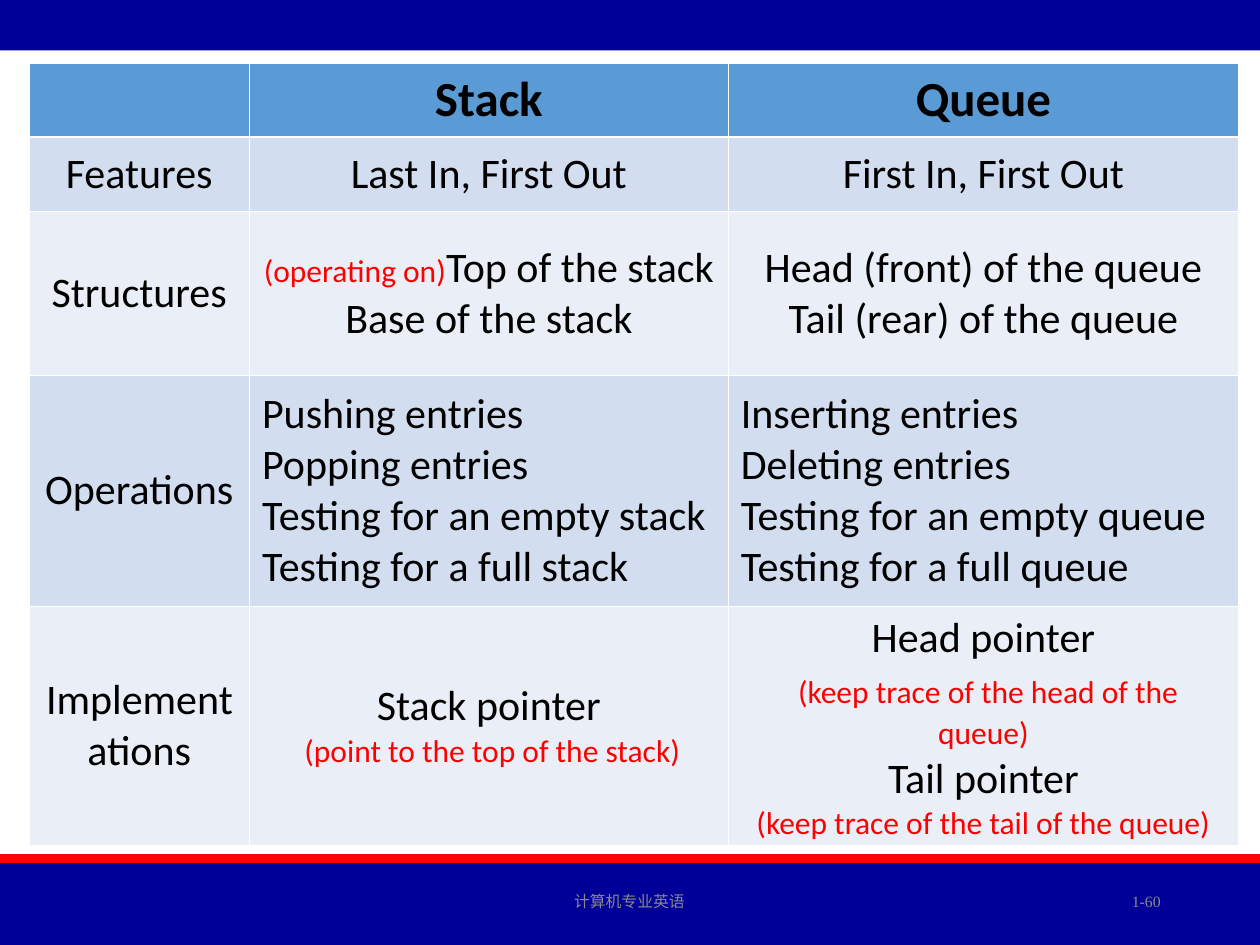
"""Build a slide that compares stacks and queues in a table."""
from dataclasses import dataclass
from typing import NamedTuple

from lxml.etree import SubElement
from pptx import Presentation
from pptx.dml.color import RGBColor
from pptx.enum.shapes import MSO_SHAPE
from pptx.enum.text import MSO_ANCHOR, PP_ALIGN
from pptx.oxml.ns import qn
from pptx.util import Inches, Pt


@dataclass(frozen=True)
class Theme:
    """Hold the colours, fonts and type sizes of the slide."""
    navy: str = "000099"
    red: str = "FF0000"
    black: str = "000000"
    white: str = "FFFFFF"
    grey: str = "898989"
    header: str = "5B9BD5"
    bands: tuple[str, str] = ("D2DEEF", "EAEFF7")
    table_font: str = "Calibri"
    footer_font: str = "Times New Roman"
    heading_size: float = 28
    body_size: float = 24
    aside_size: float = 18
    footer_size: float = 9
    thin_line: float = 0.45
    header_line: float = 1.47


class Style(NamedTuple):
    """Describe how a piece of text is set."""
    face: str
    size: float
    color: str
    bold: bool = False


class Span(NamedTuple):
    """Pair a text with its style."""
    text: str
    style: Style


class Bar(NamedTuple):
    """Describe a full-width bar."""
    top: float
    height: float
    color: str


class Footer(NamedTuple):
    """Describe a footer text box."""
    text: str
    left: float
    width: float
    align: PP_ALIGN


THEME = Theme()
HEADING = Style(THEME.table_font, THEME.heading_size, THEME.black, True)
BODY = Style(THEME.table_font, THEME.body_size, THEME.black)
ASIDE = Style(THEME.table_font, THEME.aside_size, THEME.red)
FOOTER = Style(THEME.footer_font, THEME.footer_size, THEME.grey)

SLIDE_WIDTH = 10
BARS = [
    Bar(0, 0.4, THEME.navy),
    Bar(6.78, 0.07, THEME.red),
    Bar(6.85, 0.65, THEME.navy),
]
FOOTERS = [
    Footer("计算机专业英语", 3.31, 3.37, PP_ALIGN.CENTER),
    Footer("1-60", 7.06, 2.25, PP_ALIGN.RIGHT),
]
COLUMN_WIDTHS = [1.75, 3.8, 4.05]
ROW_HEIGHTS = [0.59, 0.59, 1.3, 1.83, 1.9]
OPERATIONS_ROW = 3

Line = str | Span | list[Span]
ROWS: list[list[list[Line]]] = [
    [[], ["Stack"], ["Queue"]],
    [["Features"], ["Last In, First Out"], ["First In, First Out"]],
    [
        ["Structures"],
        [[Span("(operating on)", ASIDE), Span("Top of the stack", BODY)], "Base of the stack"],
        ["Head (front) of the queue", "Tail (rear) of the queue"],
    ],
    [
        ["Operations"],
        ["Pushing entries", "Popping entries",
         "Testing for an empty stack", "Testing for a full stack"],
        ["Inserting entries", "Deleting entries",
         "Testing for an empty queue", "Testing for a full queue"],
    ],
    [
        ["Implementations"],
        ["Stack pointer", Span(" (point to the top of the stack)", ASIDE)],
        [
            "Head pointer",
            [Span(" ", BODY), Span("(keep trace of the head of the queue)", ASIDE)],
            "Tail pointer",
            Span("(keep trace of the tail of the queue)", ASIDE),
        ],
    ],
]


def apply_style(font, style: Style) -> None:
    """Set a font to a style."""
    font.name = style.face
    font.size = Pt(style.size)
    font.bold = style.bold
    font.color.rgb = RGBColor.from_string(style.color)


def write_line(para, line: Line, default: Style, align: PP_ALIGN) -> None:
    """Write one line of text into a paragraph."""
    para.alignment = align
    if isinstance(line, list):
        for span in line:
            run = para.add_run()
            run.text = span.text
            apply_style(run.font, span.style)
        return
    span = Span(line, default) if isinstance(line, str) else line
    para.add_run().text = span.text
    apply_style(para.font, span.style)


def draw_bar(page, bar: Bar) -> None:
    """Draw a bar across the slide."""
    shape = page.shapes.add_shape(
        MSO_SHAPE.RECTANGLE, 0, Inches(bar.top), Inches(SLIDE_WIDTH), Inches(bar.height))
    shape.shadow.inherit = False
    shape.fill.solid()
    shape.fill.fore_color.rgb = RGBColor.from_string(bar.color)
    shape.line.fill.background()


def draw_footer(page, footer: Footer) -> None:
    """Draw a footer text box."""
    box = page.shapes.add_textbox(
        Inches(footer.left), Inches(6.95), Inches(footer.width), Inches(0.4))
    frame = box.text_frame
    frame.word_wrap = True
    frame.vertical_anchor = MSO_ANCHOR.MIDDLE
    write_line(frame.paragraphs[0], footer.text, FOOTER, footer.align)


def draw_borders(cell, row: int) -> None:
    """Give a cell white borders, heavier under the header row."""
    properties = cell._tc.get_or_add_tcPr()
    heavy_side = {0: "lnB", 1: "lnT"}.get(row)
    for side in ("lnL", "lnR", "lnT", "lnB"):
        width = THEME.header_line if side == heavy_side else THEME.thin_line
        border = SubElement(properties, qn(f"a:{side}"), w=str(int(Pt(width))))
        fill = SubElement(border, qn("a:solidFill"))
        SubElement(fill, qn("a:srgbClr"), val=THEME.white)


def fill_cell(cell, lines: list[Line], row: int, column: int) -> None:
    """Format a cell and write its lines."""
    draw_borders(cell, row)
    cell.fill.solid()
    color = THEME.bands[(row - 1) % 2] if row else THEME.header
    cell.fill.fore_color.rgb = RGBColor.from_string(color)
    cell.vertical_anchor = MSO_ANCHOR.MIDDLE
    is_list = row == OPERATIONS_ROW and column > 0
    align = PP_ALIGN.LEFT if is_list else PP_ALIGN.CENTER
    frame = cell.text_frame
    for index, line in enumerate(lines):
        para = frame.add_paragraph() if index else frame.paragraphs[0]
        write_line(para, line, BODY if row else HEADING, align)


def draw_table(page) -> None:
    """Draw the comparison table."""
    table = page.shapes.add_table(
        len(ROW_HEIGHTS), len(COLUMN_WIDTHS), Inches(0.23), Inches(0.5),
        Inches(sum(COLUMN_WIDTHS)), Inches(sum(ROW_HEIGHTS))).table
    for column, width in zip(table.columns, COLUMN_WIDTHS):
        column.width = Inches(width)
    for row, height in zip(table.rows, ROW_HEIGHTS):
        row.height = Inches(height)
    for row_index, cells in enumerate(ROWS):
        for column_index, lines in enumerate(cells):
            fill_cell(table.cell(row_index, column_index), lines, row_index, column_index)


def main() -> None:
    """Build and save the deck."""
    deck = Presentation()
    deck.slide_width, deck.slide_height = Inches(SLIDE_WIDTH), Inches(7.5)
    page = deck.slides.add_slide(deck.slide_layouts[6])
    for bar in BARS:
        draw_bar(page, bar)
    for footer in FOOTERS:
        draw_footer(page, footer)
    draw_table(page)
    deck.save("out.pptx")


if __name__ == "__main__":
    main()
